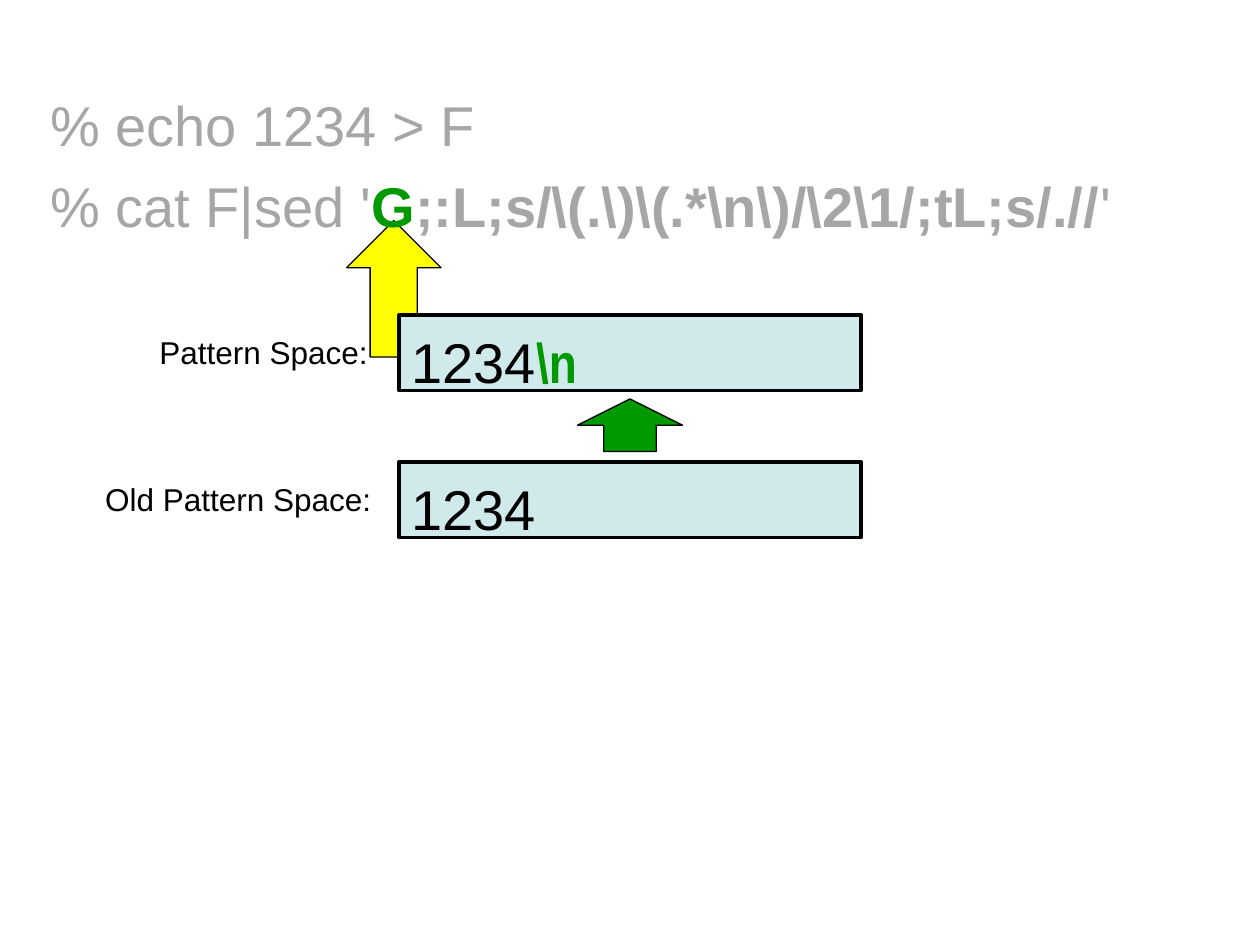
from pptx import Presentation
from pptx.dml.color import RGBColor
from pptx.enum.shapes import MSO_SHAPE
from pptx.enum.text import MSO_ANCHOR, PP_ALIGN
from pptx.util import Pt

GREY, GREEN, BLACK = "A6A6A6", "009900", "000000"
YELLOW, PALE_BLUE = "FFFF00", "D0EAEC"

CODE = {"size": Pt(32), "name": "Arial"}
BOLD = CODE | {"bold": True}
NARROW = BOLD | {"name": "Arial Narrow"}
LABEL = {"size": Pt(18), "name": "Arial"}

# Each paragraph is a list of runs: text, colour, format
commands = [
    [("% echo 1234 > F", GREY, CODE)],
    [
        ("% cat F|sed '", GREY, CODE),
        ("G", GREEN, BOLD),
        (r";:L;s/\(.\)\(.*\n\)/\2\1/;tL;s/.//", GREY, BOLD),
        ("'", GREY, CODE),
    ],
]
# Label, label left, box top, runs in the box
spaces = [
    ("Old Pattern Space:", 53, 264, [("1234", BLACK, CODE)]),
    ("Pattern Space:", 84, 180, [("1234", BLACK, CODE), (r"\n", GREEN, NARROW)]),
]
# Left, top, width, height, fill
arrows = [(198, 126, 54, 78, YELLOW), (330, 228, 60, 30, GREEN)]

BOX_LEFT, BOX_WIDTH, BOX_HEIGHT = 228, 264, 43.2
LABEL_HEIGHT = 30


def rgb(value):
    return RGBColor.from_string(value)


def write(frame, paragraphs, gap=0):
    for index, runs in enumerate(paragraphs):
        paragraph = frame.paragraphs[0] if index == 0 else frame.add_paragraph()
        paragraph.alignment = PP_ALIGN.LEFT
        if index:
            paragraph.space_before = Pt(gap)
        for text, color, style in runs:
            run = paragraph.add_run()
            run.text = text
            run.font.color.rgb = rgb(color)
            for key, value in style.items():
                setattr(run.font, key, value)


def add_text(slide, left, top, width, height, paragraphs, gap=0):
    frame = slide.shapes.add_textbox(Pt(left), Pt(top), Pt(width), Pt(height)).text_frame
    frame.word_wrap = True
    write(frame, paragraphs, gap)


def add_outlined(slide, kind, left, top, width, height, fill, line_width):
    shape = slide.shapes.add_shape(kind, Pt(left), Pt(top), Pt(width), Pt(height))
    shape.shadow.inherit = False
    shape.fill.solid()
    shape.fill.fore_color.rgb = rgb(fill)
    shape.line.color.rgb = rgb(BLACK)
    shape.line.width = Pt(line_width)
    return shape


def main():
    deck = Presentation()
    deck.slide_width, deck.slide_height = Pt(720), Pt(540)
    slide = deck.slides.add_slide(deck.slide_layouts[6])

    for *place, fill in arrows:
        add_outlined(slide, MSO_SHAPE.UP_ARROW, *place, fill, 0.75)

    add_text(slide, 21.6, 48, 690, 90, commands, gap=8)

    for label, label_left, top, content in spaces:
        label_top = top + (BOX_HEIGHT - LABEL_HEIGHT) / 2
        add_text(slide, label_left, label_top, BOX_LEFT - label_left, LABEL_HEIGHT,
                 [[(label, BLACK, LABEL)]])
        box = add_outlined(slide, MSO_SHAPE.RECTANGLE, BOX_LEFT, top,
                           BOX_WIDTH, BOX_HEIGHT, PALE_BLUE, 2.25)
        frame = box.text_frame
        frame.vertical_anchor = MSO_ANCHOR.TOP
        frame.margin_top = Pt(7)
        frame.margin_bottom = Pt(0)
        write(frame, [content])

    deck.save("out.pptx")


if __name__ == "__main__":
    main()
